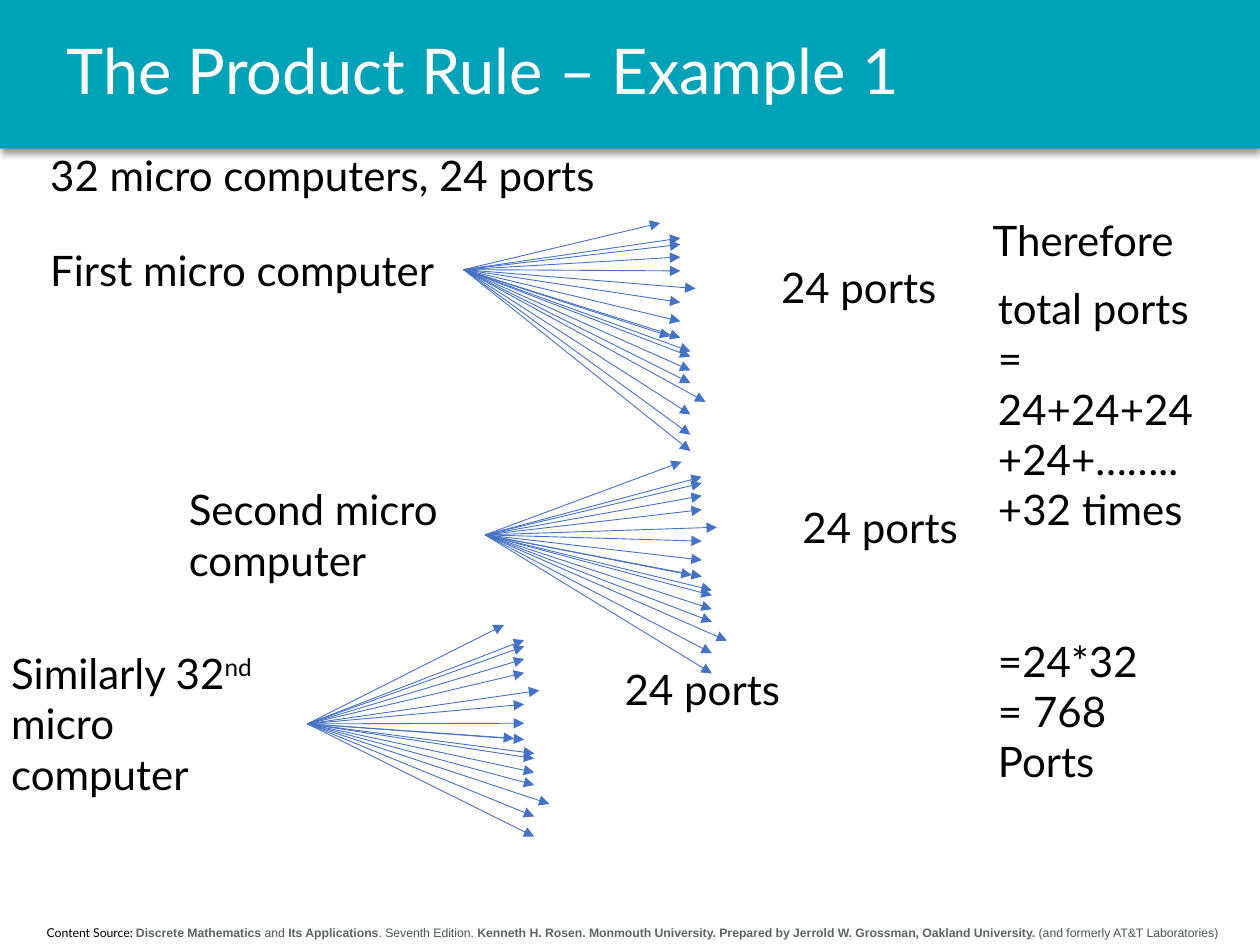
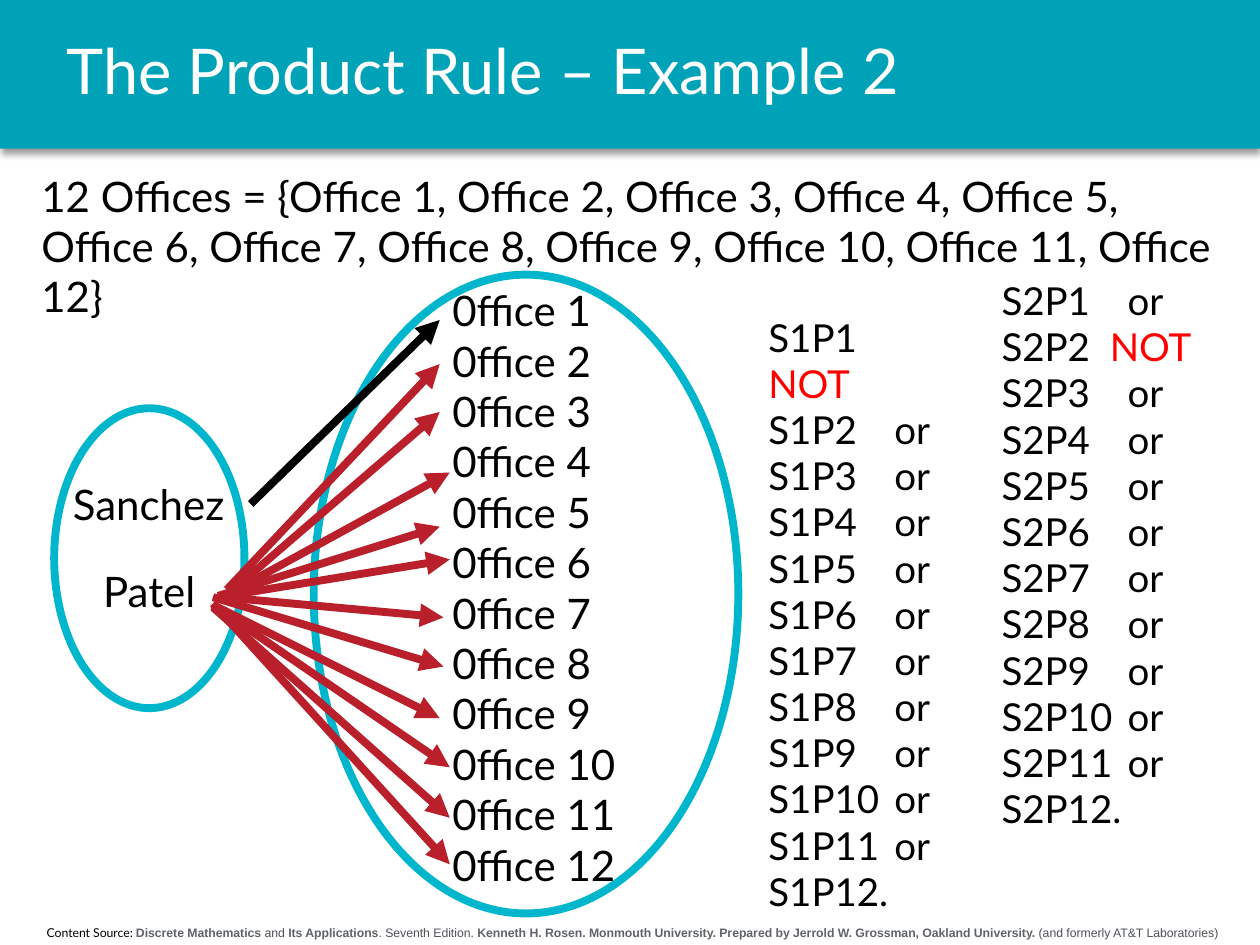
from dataclasses import dataclass, field

from lxml import etree
from pptx import Presentation
from pptx import util as u
from pptx.dml.color import RGBColor
from pptx.enum import shapes, text
from pptx.oxml import parse_xml
from pptx.oxml.ns import nsdecls, qn


@dataclass(frozen=True)
class Theme:
    band: str = "00A2B8"
    ring: str = "00B6CC"
    ray: str = "4472C4"
    match: str = "BA202B"
    ink: str = "000000"
    paper: str = "FFFFFF"
    warning: str = "FF0000"
    source_strong: str = "5F6368"
    source_plain: str = "4D5156"
    face: str = "Lato"
    source_face: str = "Arial"
    title_size: float = 36
    text_size: float = 24
    pair_size: float = 22
    source_size: float = 7
    thin: float = 0.5
    thick: float = 4.5


@dataclass
class Para:
    spans: list
    format: dict = field(default_factory=dict)
    tab: float = 0


THEME = Theme()
COLUMNS = 100
ROWS = 75
SOURCE_STRONG = {"name": THEME.source_face, "color": THEME.source_strong, "bold": True}
SOURCE_PLAIN = {"name": THEME.source_face, "color": THEME.source_plain}
NOT = ("NOT", {"color": THEME.warning})

SOURCE = [
    "Content Source: ",
    ("Discrete Mathematics", SOURCE_STRONG),
    (" and ", SOURCE_PLAIN),
    ("Its Applications", SOURCE_STRONG),
    (". Seventh Edition. ", SOURCE_PLAIN),
    ("Kenneth H. Rosen. Monmouth University. Prepared by Jerrold W. Grossman, "
     "Oakland University.", SOURCE_STRONG),
    (" (and formerly AT&T Laboratories)", SOURCE_PLAIN),
]

PORT_ENDS = [
    (52.4, 17.7), (54, 19.4), (54, 21.5), (54, 24), (54, 20.4), (54, 18.9),
    (55.2, 22.9), (54, 25.5), (54, 26.8), (53.2, 26.7), (54.8, 28.3), (54.8, 30.4),
    (54.8, 32.9), (54.8, 29.4), (54.8, 27.9), (56, 31.9), (54.8, 34.5), (54.8, 35.8),
]

PATEL_ARROWS = [
    (18, 46.8, 34.9, 28.9), (18.5, 46.8, 34.9, 32.7), (18, 47.2, 35.7, 37.5),
    (17.3, 47.3, 34.9, 41.8), (17.3, 47.4, 35.7, 44.4), (17.7, 47.4, 35.2, 49),
    (16.9, 47.4, 35.2, 52.9), (16.9, 48, 34.9, 57), (16.9, 48, 35.7, 60.9),
    (16.9, 48.2, 35.7, 64.9), (16.9, 47.9, 35.7, 68.6),
]


class Board:
    def __init__(self, deck, theme):
        self.deck = deck
        self.theme = theme
        self.layout = deck.slide_layouts[1]
        self.page = None

    def x(self, columns):
        return round(self.deck.slide_width * columns / COLUMNS)

    def y(self, rows):
        return round(self.deck.slide_height * rows / ROWS)

    def area(self, left, top, width, height):
        return self.x(left), self.y(top), self.x(width), self.y(height)

    def place(self, shape, area):
        for name, value in zip(("left", "top", "width", "height"), self.area(*area)):
            setattr(shape, name, value)

    def start_page(self, title):
        self.page = self.deck.slides.add_slide(self.layout)
        box = self.page.shapes.title
        self.place(box, (4.3, 0, 93, 11.8))
        heading = Para([title], {"alignment": text.PP_ALIGN.LEFT, "line_spacing": 0.9})
        self.set_text(box, [heading], self.theme.title_size, self.theme.paper,
                      text.MSO_ANCHOR.MIDDLE)

    def set_text(self, box, paras, size, color, anchor=text.MSO_ANCHOR.TOP):
        frame = box.text_frame
        settings = {"word_wrap": True, "auto_size": text.MSO_AUTO_SIZE.NONE,
                    "vertical_anchor": anchor}
        for name, value in settings.items():
            setattr(frame, name, value)
        base = {"name": self.theme.face, "size": u.Pt(size), "color": color}
        for index, item in enumerate(paras):
            item = item if isinstance(item, Para) else Para([item])
            para = frame.add_paragraph() if index else frame.paragraphs[0]
            for name, value in ({"space_before": u.Pt(0)} | item.format).items():
                setattr(para, name, value)
            if item.tab:
                self.add_tab(para, item.tab)
            for piece in item.spans:
                self.add_span(para, piece, base)

    def add_tab(self, para, columns):
        stops = etree.SubElement(para._p.get_or_add_pPr(), qn("a:tabLst"))
        etree.SubElement(stops, qn("a:tab"), pos=str(self.x(columns)), algn="l")

    def add_span(self, para, piece, base):
        if piece == "\v":
            para.add_line_break()
            return
        words, changes = piece if isinstance(piece, tuple) else (piece, {})
        span = para.add_run()
        span.text = words
        for name, value in (base | changes).items():
            if name == "color":
                span.font.color.rgb = RGBColor.from_string(value)
            elif name == "baseline":
                span._r.get_or_add_rPr().set(name, value)
            else:
                setattr(span.font, name, value)

    def label(self, area, *paras, size=None):
        box = self.page.shapes.add_textbox(*self.area(*area))
        self.set_text(box, paras, size or self.theme.text_size, self.theme.ink)
        return box

    def listing(self, area, *paras):
        box = self.page.placeholders[1]
        self.place(box, area)
        self.page.shapes.element.append(box.element)
        self.set_text(box, paras, self.theme.text_size, self.theme.ink)
        for para in box.text_frame.paragraphs:
            properties = para._p.get_or_add_pPr()
            for name in ("marL", "indent"):
                properties.set(name, "0")
            etree.SubElement(properties, qn("a:buNone"))

    def figure(self, kind, area, fill, line=None):
        shape = self.page.shapes.add_shape(kind, *self.area(*area))
        shape.shadow.inherit = False
        shape.fill.solid()
        shape.fill.fore_color.rgb = RGBColor.from_string(fill)
        if line:
            shape.line.color.rgb = RGBColor.from_string(line)
            shape.line.width = u.Pt(self.theme.thick)
        else:
            shape.line.fill.background()
        return shape

    def arrow(self, start, end, color, width, origin=None, group=None):
        line = (group or self.page).shapes.add_connector(
            shapes.MSO_CONNECTOR.STRAIGHT,
            self.x(start[0]), self.y(start[1]), self.x(end[0]), self.y(end[1]))
        line.line.color.rgb = RGBColor.from_string(color)
        line.line.width = u.Pt(width)
        etree.SubElement(line.line._get_or_add_ln(), qn("a:tailEnd"), type="triangle")
        etree.SubElement(line.element.spPr, qn("a:effectLst"))
        if origin:
            line.begin_connect(origin, 3)

    def fan(self, origin, area, ends, shift):
        left, top, width, height = area
        group = self.page.shapes.add_group_shape()
        for column, row in ends:
            self.arrow((left + width, top + height / 2),
                       (column + shift[0], row + shift[1]),
                       self.theme.ray, self.theme.thin, origin, group)

    def share_frame(self):
        band = self.figure(shapes.MSO_SHAPE.RECTANGLE, (0, 0, COLUMNS, 11.8), self.theme.band)
        effects = band.element.spPr.find(qn("a:effectLst"))
        effects.append(parse_xml(
            f'<a:outerShdw {nsdecls("a")} blurRad="{u.Pt(4)}" dist="{u.Pt(3)}" '
            f'dir="5400000" algn="t" rotWithShape="0"><a:srgbClr val="{self.theme.ink}">'
            '<a:alpha val="40000"/></a:srgbClr></a:outerShdw>'))
        source = self.label((0.4, 72.9, 99.6, 2.2),
                            Para(SOURCE, {"alignment": text.PP_ALIGN.CENTER}),
                            size=self.theme.source_size)
        for index, shape in enumerate((band, source)):
            shape.element.xpath(".//p:cNvPr")[0].set("id", str(20 + index))
            self.layout.shapes.element.insert(2 + index, shape.element)


def pair_list(staff, taken):
    paras = []
    for office in range(1, 13):
        pair = f"S{staff}P{office}"
        if office == taken:
            gap = "\v" if staff == 1 else "\t"
            paras.append(Para([pair, gap, NOT], tab=8.6))
        elif office == 12:
            paras.append(f"{pair}.")
        else:
            paras.append(Para([f"{pair}\tor"], tab=10))
    return paras


def build_ports(board):
    board.start_page("The Product Rule – Example 1")
    board.share_frame()
    board.label((3, 11.4, 47.8, 5), "32 micro computers, 24 ports")
    thirty_second = Para(["Similarly 32", ("nd", {"baseline": "30000"}), " micro computer"])
    computers = [
        ((3, 18.9, 33.8, 5), "First micro computer", PORT_ENDS, (0, 0), (61, 20.3)),
        ((14, 37.9, 24.5, 9.1), "Second micro computer", PORT_ENDS[:-1], (1.7, 18.95),
         (62.7, 39.3)),
        ((-0.1, 50.9, 24.5, 13.1), thirty_second, PORT_ENDS[:-1], (-12.4, 31.9),
         (48.6, 52.2)),
    ]
    for area, name, ends, shift, ports_at in computers:
        computer = board.label(area, name)
        board.fan(computer, area, ends, shift)
        board.label((*ports_at, 16.5, 5), "24 ports")
    board.label((77.8, 16.5, 18.2, 5), "Therefore")
    board.listing((78.2, 21.9, 18.2, 41.4),
                  "total ports = 24+24+24+24+……..+32 times",
                  Para(["=24*32"], {"space_before": u.Pt(57.6)}),
                  "= 768 Ports")


def build_offices(board):
    theme = board.theme
    board.start_page("The Product Rule – Example 2")
    offices = ", ".join(f"Office {number}" for number in range(1, 13))
    board.label((2.3, 13, 95.3, 9.1), f"12 Offices = {{{offices}}}")
    for area in ((4.3, 32.4, 15.1, 23.8), (24.9, 21.8, 33.7, 50.7)):
        board.figure(shapes.MSO_SHAPE.OVAL, area, theme.paper, theme.ring)
    sanchez = board.label((4.8, 37.5, 15.1, 5), "Sanchez")
    board.label((7.2, 44.4, 15.1, 5), "Patel")
    board.listing((34.9, 22.1, 15.1, 49.5),
                  *(f"0ffice {number}" for number in range(1, 13)))
    board.arrow((19.9, 40), (34.9, 25.4), theme.ink, theme.thick, sanchez)
    for left, top, right, bottom in PATEL_ARROWS:
        board.arrow((left, top), (right, bottom), theme.match, theme.thick)
    for staff, left, top in ((1, 60, 24.4), (2, 78.5, 21.5)):
        board.label((left, top, 17.2, 45.4), *pair_list(staff, staff), size=theme.pair_size)


def main():
    deck = Presentation()
    deck.slide_width = u.Inches(10)
    deck.slide_height = u.Inches(7.5)
    board = Board(deck, THEME)
    build_ports(board)
    build_offices(board)
    deck.save("out.pptx")


if __name__ == "__main__":
    main()
